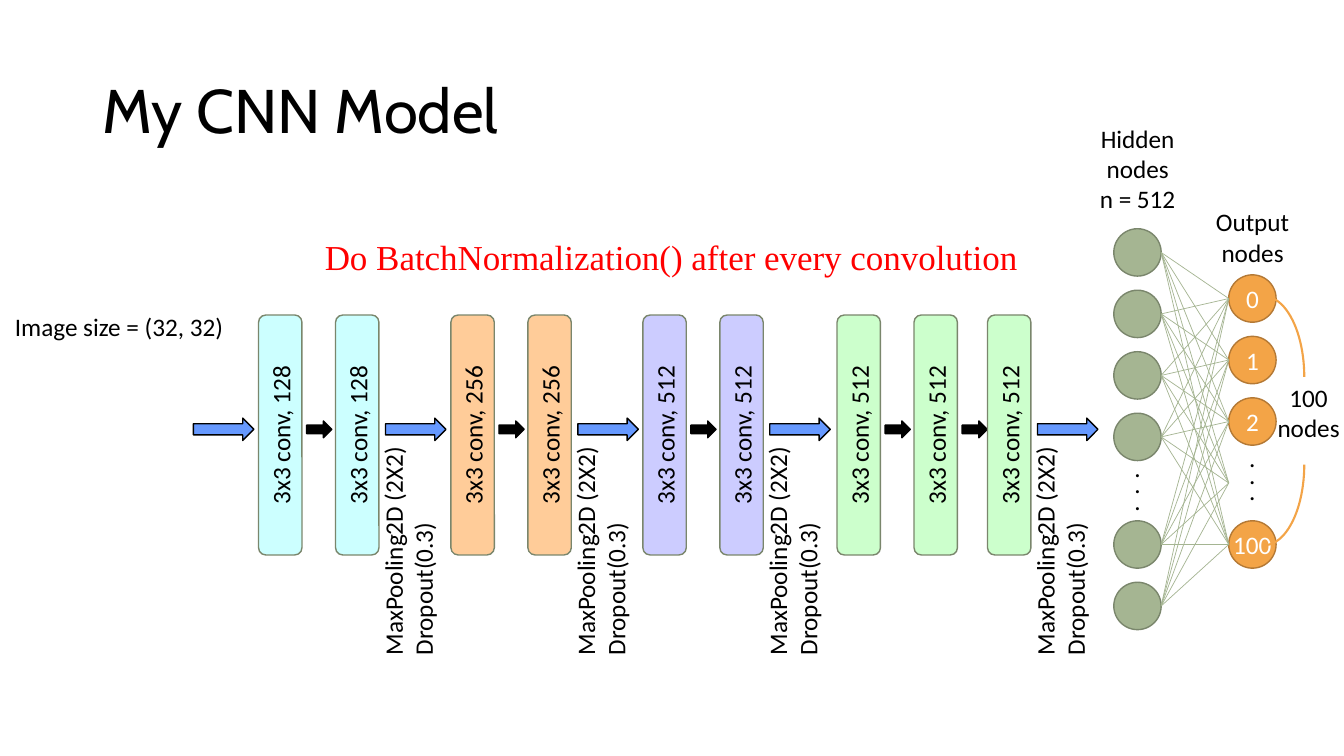
from itertools import product

from lxml.etree import SubElement
from pptx import Presentation
from pptx.dml.color import RGBColor
from pptx.enum.shapes import MSO_CONNECTOR, MSO_SHAPE as SHAPE
from pptx.enum.text import MSO_ANCHOR as ANCHOR, MSO_AUTO_SIZE, PP_ALIGN as ALIGN
from pptx.oxml.ns import qn
from pptx.util import Pt

BLACK, WHITE, RED = "000000", "FFFFFF", "FF0000"
SAGE, SAGE_EDGE = "A5B592", "7A866C"
ORANGE, ORANGE_EDGE = "F3A447", "B47935"
ARROW_BLUE = "6699FF"

# First block centre, gaps to the following blocks, filter count, fill
STAGES = [
    (200.2, [55], 128, "CCFFFF"),
    (337.6, [55], 256, "FFCC99"),
    (474.7, [55], 512, "CCCCFF"),
    (613.4, [55, 52.5], 512, "CCFFCC"),
]

NODE_SIZE = 33.84
ROW_STEP = 43.92
HIDDEN_ROWS = [0, 1, 2, 3, 4.75, 5.75]
OUTPUT_ROWS = {0.75: "0", 1.75: "1", 2.75: "2", 3.75: None, 4.75: "100"}


def color(hex_string):
    return RGBColor.from_string(hex_string)


def write(shape, text, size=18, font="Calibri", fill=BLACK, align=ALIGN.CENTER,
          anchor=ANCHOR.MIDDLE, spacing=1.0):
    frame = shape.text_frame
    frame.word_wrap = False
    frame.vertical_anchor = anchor
    frame.margin_left = frame.margin_right = frame.margin_top = frame.margin_bottom = 0
    frame.text = text
    for paragraph in frame.paragraphs:
        paragraph.alignment = align
        paragraph.line_spacing = spacing
        for run in paragraph.runs:
            run.font.size = Pt(size)
            run.font.name = font
            run.font.color.rgb = color(fill)


def add_label(slide, left, top, width, height, text, **style):
    label = slide.shapes.add_textbox(Pt(left), Pt(top), Pt(width), Pt(height))
    write(label, text, anchor=ANCHOR.TOP, **style)
    return label


def add_figure(slide, kind, left, top, width, height, fill, edge, weight=1):
    figure = slide.shapes.add_shape(kind, Pt(left), Pt(top), Pt(width), Pt(height))
    figure.shadow.inherit = False
    if fill:
        figure.fill.solid()
        figure.fill.fore_color.rgb = color(fill)
    else:
        figure.fill.background()
    figure.line.color.rgb = color(edge)
    figure.line.width = Pt(weight)
    return figure


def add_link(slide, start, end):
    link = slide.shapes.add_connector(MSO_CONNECTOR.STRAIGHT, *map(Pt, start + end))
    link.line.color.rgb = color(SAGE)
    link.line.width = Pt(0.5)
    SubElement(link._element.spPr, qn("a:effectLst"))


def add_title(slide, left, top, width, height):
    title = slide.shapes.title
    title.left, title.top, title.width, title.height = map(Pt, (left, top, width, height))
    write(title, "My CNN Model", size=44, font="Cabin", align=ALIGN.LEFT, spacing=0.9)
    title.text_frame.margin_left = Pt(7.2)
    title.text_frame.auto_size = MSO_AUTO_SIZE.NONE


def add_conv_block(slide, center, middle, filters, fill):
    """Draw a horizontal block and turn it upright about its centre."""
    length, thickness = 171.4, 31
    block = add_figure(slide, SHAPE.ROUNDED_RECTANGLE, center - length / 2,
                       middle - thickness / 2, length, thickness, fill, SAGE_EDGE)
    block.rotation = 270
    write(block, f"3x3 conv, {filters}")


def add_flow_arrow(slide, left, middle, width, height, fill):
    add_figure(slide, SHAPE.RIGHT_ARROW, left, middle - height / 2, width, height,
               fill, BLACK)


def add_pooling_label(slide, left, top):
    label = add_label(slide, left, top, 48, 172, "MaxPooling2D (2X2)\nDropout(0.3)",
                      align=ALIGN.LEFT)
    label.text_frame._txBody.bodyPr.set("vert", "vert270")


def add_conv_pipeline(slide, left, top):
    block_middle, arrow_middle = top + 85.7, top + 81.7
    add_flow_arrow(slide, left, arrow_middle, 43.2, 16, ARROW_BLUE)
    for center, gaps, filters, fill in STAGES:
        add_conv_block(slide, center, block_middle, filters, fill)
        for gap in gaps:
            add_flow_arrow(slide, center + 18.8, arrow_middle, 18, 12, BLACK)
            center += gap
            add_conv_block(slide, center, block_middle, filters, fill)
        add_flow_arrow(slide, center + 20.2, arrow_middle, 43.2, 16, ARROW_BLUE)
        add_pooling_label(slide, center + 14.5, top + 71)


def add_node(slide, left, top, fill, edge, text=None):
    node = add_figure(slide, SHAPE.OVAL, left, top, NODE_SIZE, NODE_SIZE, fill, edge)
    if text:
        write(node, text, fill=WHITE)


def add_dense_layers(slide, left, top):
    """Draw the hidden and output columns, fully linked, with their labels."""
    output_left = left + 82.1
    radius = NODE_SIZE / 2
    for row in HIDDEN_ROWS:
        add_node(slide, left, top + row * ROW_STEP, SAGE, SAGE_EDGE)
    for row, digit in OUTPUT_ROWS.items():
        if digit:
            add_node(slide, output_left, top + row * ROW_STEP, ORANGE, ORANGE_EDGE, digit)
    for hidden, output in product(HIDDEN_ROWS, OUTPUT_ROWS):
        add_link(slide, (left + NODE_SIZE, top + hidden * ROW_STEP + radius),
                 (output_left, top + output * ROW_STEP + radius))
    for column, dots_top in ((left, top + 169), (output_left, top + 162)):
        add_label(slide, column, dots_top, NODE_SIZE, 36, ".\n.\n.", spacing=Pt(12))

    for arc_top, flipped in ((top + 48.3, False), (top + 110.9, True)):
        arc = add_figure(slide, SHAPE.ARC, output_left - 3.6, arc_top, 57.6, 115.2,
                         None, ORANGE, 1.5)
        if flipped:
            arc._element.spPr.find(qn("a:xfrm")).set("flipV", "1")

    add_label(slide, left - 13, top - 75.6, 60, 66, "Hidden\nnodes\nn = 512")
    add_label(slide, output_left - 13, top - 15.8, 60, 44, "Output\nnodes")
    add_label(slide, output_left + 34, top + 109.5, 46, 44, "100\nnodes")


def main():
    presentation = Presentation()
    presentation.slide_width, presentation.slide_height = Pt(960), Pt(540)
    slide = presentation.slides.add_slide(presentation.slide_layouts[5])
    add_title(slide, 66.2, 28.8, 828, 104.4)
    add_dense_layers(slide, 795.6, 163.4)
    add_label(slide, 10, 222.5, 150, 22, "Image size = (32, 32)")
    add_conv_pipeline(slide, 138.2, 225)
    add_label(slide, 232, 168.5, 500, 30, "Do BatchNormalization() after every convolution",
              size=25, font="Times New Roman", fill=RED, align=ALIGN.LEFT)
    presentation.save("out.pptx")


if __name__ == "__main__":
    main()
